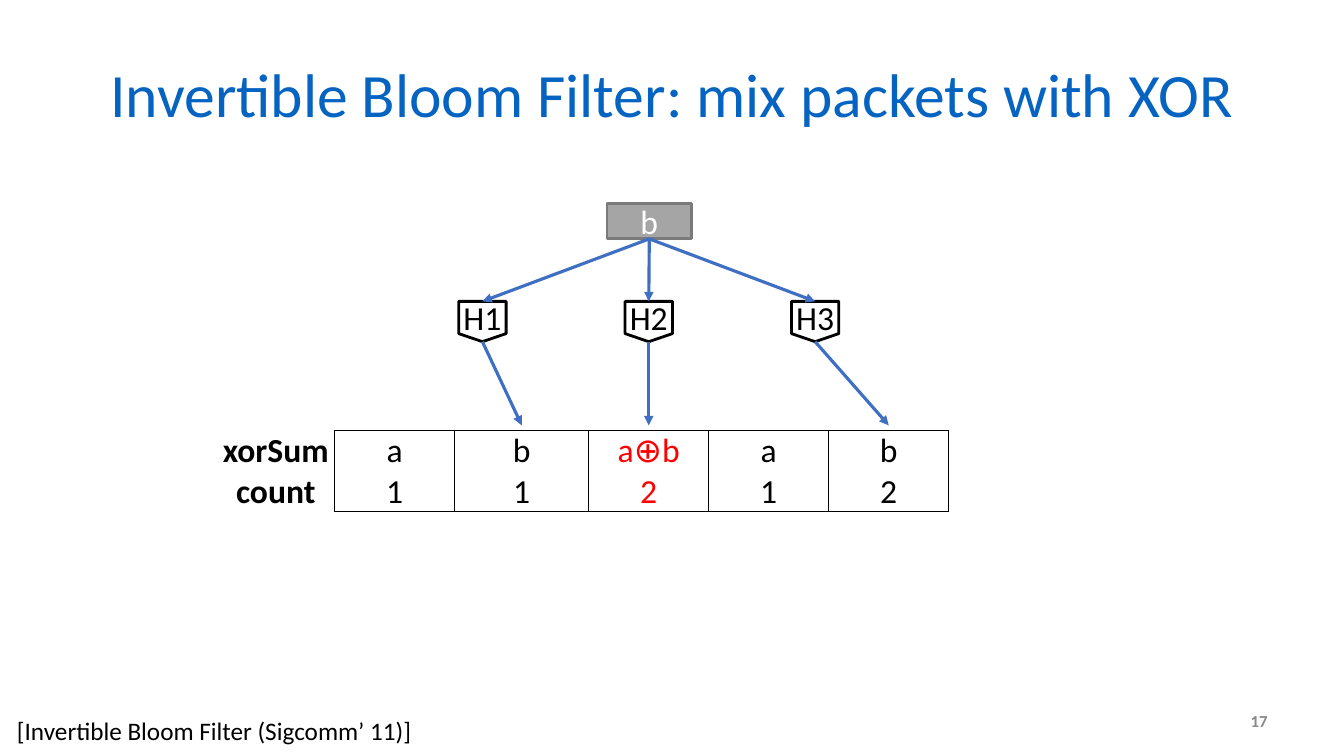
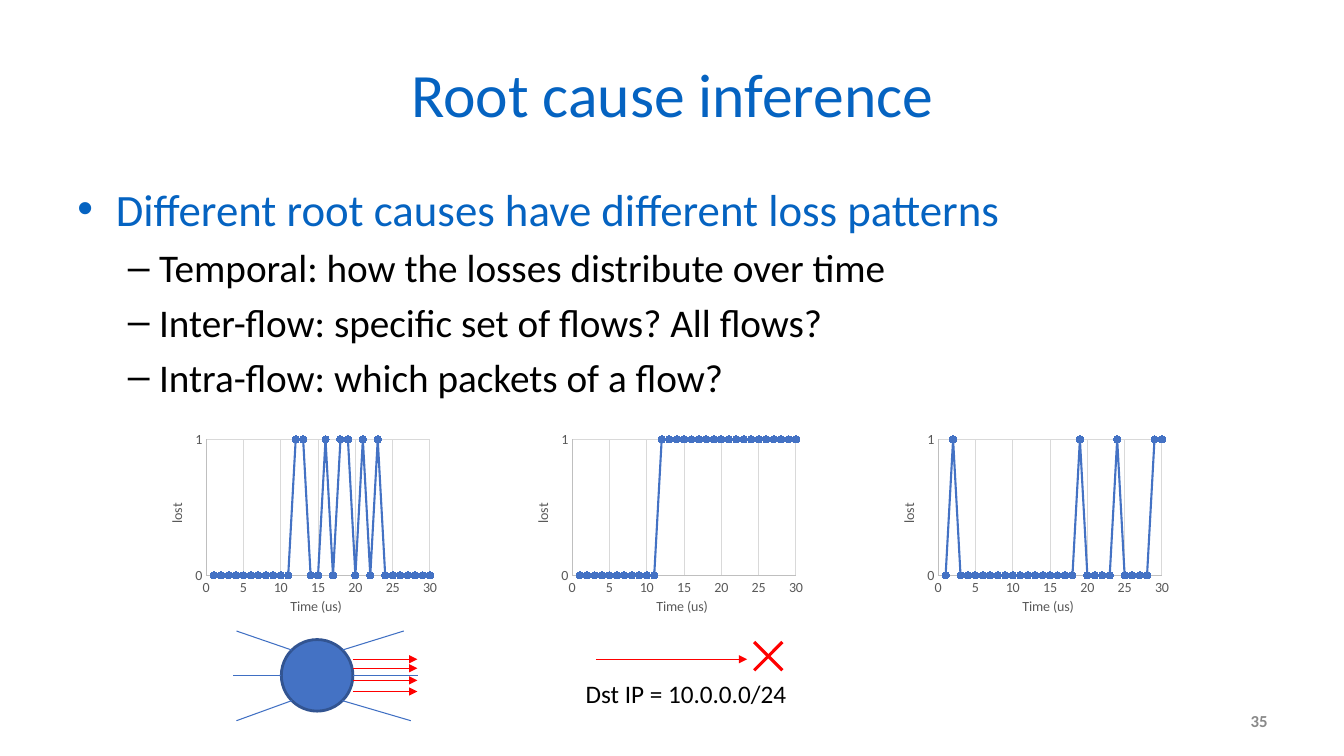
import math

import pptx
import pptx.chart.data
import pptx.dml.color
import pptx.enum.chart
import pptx.enum.dml
import pptx.enum.shapes
import pptx.enum.text
import pptx.oxml
import pptx.oxml.ns
import pptx.util

Inches, Pt = pptx.util.Inches, pptx.util.Pt
ALIGN = pptx.enum.text.PP_ALIGN
ANCHOR = pptx.enum.text.MSO_ANCHOR
SHAPE = pptx.enum.shapes.MSO_SHAPE
qn = pptx.oxml.ns.qn

# Shared look
WIDTH, HEIGHT = 13.33, 7.5
FONT = "Calibri"
COLORS = {
    "title": "0563C1", "text": "000000", "white": "FFFFFF", "page": "898989",
    "arrow": "3F6FC3", "alert": "FF0000", "packet": "A5A5A5", "packet_edge": "7A7A7A",
    "blue": "4472C4", "blue_edge": "325491",
    "axis_text": "595959", "axis": "BFBFBF", "grid": "D9D9D9",
}
TITLE_BOX = (0.67, 0.3, 12, 1.25)
PAGE_BOX = (9.56, 6.95, 3.11, 0.4)

# Content: Bloom filter slide
FILTER_TITLE, FILTER_PAGE = "Invertible Bloom Filter: mix packets with XOR", "17"
CITATION = "[Invertible Bloom Filter (Sigcomm’ 11)]"
PACKET = "b"
HASHES = [("H1", 2), ("H2", 3), ("H3", 5)]  # name, table column it points to
CELLS = [("xorSum", "count"), ("a", "1"), ("b", "1"), ("a⊕b", "2"), ("a", "1"), ("b", "2")]
COLUMN_WIDTHS = [1.17, 1.19, 1.33, 1.19, 1.19, 1.19]
MIXED_COLUMN = 3

# Content: root cause slide
CAUSE_TITLE, CAUSE_PAGE = "Root cause inference", "35"
BULLETS = [
    (0, "Different root causes have different loss patterns"),
    (1, "Temporal: how the losses distribute over time"),
    (1, "Inter-flow: specific set of flows? All flows?"),
    (1, "Intra-flow: which packets of a flow?"),
]
LEVELS = [  # bullet, left margin, hanging indent, size, colour
    ("•", 0.38, 0.38, 32, "title"),
    ("–", 0.81, 0.31, 28, "text"),
]
DURATION = 30
LOSS_TIMES = [
    {12, 13, 16, 18, 19, 21, 23},
    set(range(12, DURATION + 1)),
    {2, 19, 24, 29, 30},
]
DESTINATION = "Dst IP = 10.0.0.0/24"


# Helpers
def rgb(name):
    return pptx.dml.color.RGBColor.from_string(COLORS[name])


def apply(target, values):
    for name, value in values.items():
        setattr(target, name, value)


def style_font(font, size, color="text", bold=False):
    apply(font, {"name": FONT, "size": Pt(size), "bold": bold})
    font.color.rgb = rgb(color)


def style_line(line, color, width):
    line.color.rgb = rgb(color)
    line.width = Pt(width)


def write(frame, lines, size, color="text", bold=False, align=ALIGN.LEFT):
    for index, text in enumerate(lines):
        paragraph = frame.paragraphs[0] if index == 0 else frame.add_paragraph()
        paragraph.text = text
        paragraph.alignment = align
        style_font(paragraph.font, size, color, bold)


def add_text(slide, box, text, size, color="text", bold=False, align=ALIGN.LEFT,
             anchor=ANCHOR.MIDDLE, wrap=True):
    frame = slide.shapes.add_textbox(*map(Inches, box)).text_frame
    apply(frame, {"word_wrap": wrap, "vertical_anchor": anchor})
    write(frame, [text], size, color, bold, align)


def add_shape(shapes, kind, box, fill, edge, text="", color="text", inset=None):
    shape = shapes.add_shape(kind, *map(Inches, box))
    shape.shadow.inherit = False
    shape.fill.solid()
    shape.fill.fore_color.rgb = rgb(fill)
    style_line(shape.line, edge, 2)
    if text:
        frame = shape.text_frame
        frame.vertical_anchor = ANCHOR.MIDDLE
        if inset is not None:
            apply(frame, {f"margin_{side}": Inches(inset)
                          for side in ("left", "top", "right", "bottom")})
        write(frame, [text], 24, color, align=ALIGN.CENTER)
    return shape


def add_line(shapes, start, end, color="arrow", width=0.75, arrow=False):
    line = shapes.add_connector(pptx.enum.shapes.MSO_CONNECTOR.STRAIGHT,
                                *map(Inches, (*start, *end)))
    style_line(line.line, color, width)
    if arrow:
        pptx.oxml.ns  # arrowhead at the end point
        line.get_or_add_ln().append(
            line.get_or_add_ln().makeelement(qn("a:tailEnd"), {"type": "triangle"}))
    properties = line._element.spPr
    properties.append(properties.makeelement(qn("a:effectLst"), {}))
    return line


def add_slide(presentation, title, page):
    slide = presentation.slides.add_slide(presentation.slide_layouts[6])
    add_text(slide, TITLE_BOX, title, 44, "title", align=ALIGN.CENTER)
    add_text(slide, PAGE_BOX, page, 12, "page", True, ALIGN.RIGHT)
    return slide


def set_borders(cell, sides):
    properties = cell._tc.get_or_add_tcPr()
    for index, side in enumerate(("L", "R", "T", "B")):
        shown = side in sides
        paint = (f'<a:solidFill><a:srgbClr val="{COLORS["text"]}"/></a:solidFill>'
                 if shown else "<a:noFill/>")
        properties.insert(index, pptx.oxml.parse_xml(
            f'<a:ln{side} {pptx.oxml.ns.nsdecls("a")} w="{Pt(1)}">{paint}</a:ln{side}>'))


# Bloom filter slide
def add_filter_table(slide, left, top):
    table = slide.shapes.add_table(1, len(CELLS), Inches(left), Inches(top),
                                   Inches(sum(COLUMN_WIDTHS)), Inches(0.8)).table
    apply(table, {"first_row": False, "horz_banding": False})
    for index, lines in enumerate(CELLS):
        table.columns[index].width = Inches(COLUMN_WIDTHS[index])
        cell = table.cell(0, index)
        apply(cell, {f"margin_{side}": 0 for side in ("left", "top", "right", "bottom")})
        cell.fill.background()
        set_borders(cell, "LRTB" if index else "R")
        write(cell.text_frame, lines, 24, "alert" if index == MIXED_COLUMN else "text",
              index == 0, ALIGN.CENTER)


def build_filter_slide(presentation):
    slide = add_slide(presentation, FILTER_TITLE, FILTER_PAGE)
    table_left, table_top = 2.15, 4.27
    add_filter_table(slide, table_left, table_top)
    packet = add_shape(slide.shapes, SHAPE.RECTANGLE, (6.02, 2.02, 0.84, 0.35),
                       "packet", "packet_edge", PACKET, "white")
    hash_width, hash_height, hash_top, hash_pitch = 0.47, 0.4, 2.99, 1.65
    for index, (name, column) in enumerate(HASHES):
        left = 4.55 + index * hash_pitch
        box = (left, hash_top, hash_width, hash_height)
        hash_shape = add_shape(slide.shapes, SHAPE.FLOWCHART_OFFPAGE_CONNECTOR, box,
                               "white", "text", name, inset=0)
        middle = left + hash_width / 2
        target = table_left + sum(COLUMN_WIDTHS[:column]) + COLUMN_WIDTHS[column] / 2
        incoming = add_line(slide.shapes, (6.44, 2.37), (middle, hash_top),
                            width=2.25, arrow=True)
        incoming.begin_connect(packet, 2)
        incoming.end_connect(hash_shape, 0)
        outgoing = add_line(slide.shapes, (middle, hash_top + hash_height),
                            (target, table_top - 0.05), width=2.25, arrow=True)
        outgoing.begin_connect(hash_shape, 2)
    add_text(slide, (0.07, 7.05, 4.16, 0.4), CITATION, 18, anchor=ANCHOR.TOP, wrap=False)


# Root cause slide
def add_bullets(slide):
    frame = slide.shapes.add_textbox(*map(Inches, (0.67, 1.75, 12, 2.4))).text_frame
    frame.word_wrap = True
    for index, (level, text) in enumerate(BULLETS):
        bullet, margin, hanging, size, color = LEVELS[level]
        paragraph = frame.paragraphs[0] if index == 0 else frame.add_paragraph()
        paragraph.text = text
        paragraph.level = level
        if index:
            paragraph.space_before = Pt(size * 0.2)
        properties = paragraph._p.get_or_add_pPr()
        properties.set("marL", str(Inches(margin)))
        properties.set("indent", str(-Inches(hanging)))
        for tag, values in (("a:buFont", {"typeface": "Arial"}), ("a:buChar", {"char": bullet})):
            properties.append(properties.makeelement(qn(tag), values))
        style_font(paragraph.font, size, color)


def style_axis(axis, title, maximum, unit):
    tick = pptx.enum.chart.XL_TICK_MARK.NONE
    apply(axis, {"minimum_scale": 0, "maximum_scale": maximum, "major_unit": unit,
                 "major_tick_mark": tick, "minor_tick_mark": tick,
                 "has_major_gridlines": True})
    style_line(axis.major_gridlines.format.line, "grid", 0.75)
    style_line(axis.format.line, "axis", 0.75)
    style_font(axis.tick_labels.font, 10, "axis_text")
    write(axis.axis_title.text_frame, [title], 10, "axis_text", align=ALIGN.CENTER)


def add_loss_chart(slide, box, losses):
    data = pptx.chart.data.XyChartData()
    points = data.add_series("Series 1")
    for time in range(1, DURATION + 1):
        points.add_data_point(time, int(time in losses))
    chart = slide.shapes.add_chart(pptx.enum.chart.XL_CHART_TYPE.XY_SCATTER_LINES,
                                   *map(Inches, box), data).chart
    apply(chart, {"has_legend": False, "has_title": False})
    style_font(chart.font, 10)
    style_axis(chart.category_axis, "Time (us)", DURATION, 5)
    style_axis(chart.value_axis, "lost", 1, 1)
    title_body = chart.value_axis.axis_title.text_frame._txBody.bodyPr
    title_body.set("rot", "-5400000")
    title_body.set("vert", "horz")

    plot = chart.plots[0]
    plot.vary_by_categories = False
    series = plot.series[0]
    series.smooth = False
    style_line(series.format.line, "blue", 1.5)
    marker = series.marker
    apply(marker, {"style": pptx.enum.chart.XL_MARKER_STYLE.CIRCLE, "size": 5})
    marker.format.fill.solid()
    marker.format.fill.fore_color.rgb = rgb("blue")
    style_line(marker.format.line, "blue", 0.75)

    # Fixed inner plot area, as shares of the chart
    area = chart._chartSpace.chart.plotArea
    for layout in area.findall(qn("c:layout")):
        area.remove(layout)
    settings = {"layoutTarget": "inner", "xMode": "edge", "yMode": "edge",
                "x": 0.145, "y": 0.092, "w": 0.758, "h": 0.689}
    inner = "".join(f'<c:{tag} val="{value}"/>' for tag, value in settings.items())
    area.insert(0, pptx.oxml.parse_xml(
        f'<c:layout {pptx.oxml.ns.nsdecls("c")}><c:manualLayout>{inner}'
        "</c:manualLayout></c:layout>"))


def add_switch(slide):
    shapes = slide.shapes.add_group_shape().shapes
    x, y, radius = 3.145, 6.7, 0.355
    add_shape(shapes, SHAPE.OVAL, (x - radius, y - radius, 2 * radius, 2 * radius),
              "blue", "blue_edge")
    # Links: angle on the rim, then outer end relative to the centre
    links = [(225, -0.8, -0.44), (180, -0.83, 0), (135, -0.8, 0.45),
             (315, 0.86, -0.44), (0, 1, 0), (45, 0.93, 0.45)]
    for angle, across, down in links:
        turn = math.radians(angle)
        rim = (x + radius * math.cos(turn), y + radius * math.sin(turn))
        add_line(shapes, rim, (x + across, y + down))
    for flow_y in (6.54, 6.63, 6.75, 6.86):
        add_line(shapes, (3.5, flow_y), (4.14, flow_y), "alert", arrow=True)


def add_blocked_flow(slide):
    add_line(slide.shapes, (5.91, 6.54), (7.41, 6.54), "alert", arrow=True)
    left, top, side = 7.48, 6.37, 0.28
    for start, end in ((left, left + side), (left + side, left)):
        add_line(slide.shapes, (start, top), (end, top + side), "alert", 2.25)
    add_text(slide, (5.71, 6.68, 2.21, 0.4), DESTINATION, 18, anchor=ANCHOR.TOP, wrap=False)


def build_cause_slide(presentation):
    slide = add_slide(presentation, CAUSE_TITLE, CAUSE_PAGE)
    add_bullets(slide)
    for index, losses in enumerate(LOSS_TIMES):
        add_loss_chart(slide, (1.62 + index * 3.63, 4.18, 2.93, 1.96), losses)
    add_switch(slide)
    add_blocked_flow(slide)


def main():
    presentation = pptx.Presentation()
    apply(presentation, {"slide_width": Inches(WIDTH), "slide_height": Inches(HEIGHT)})
    build_filter_slide(presentation)
    build_cause_slide(presentation)
    presentation.save("out.pptx")


if __name__ == "__main__":
    main()
